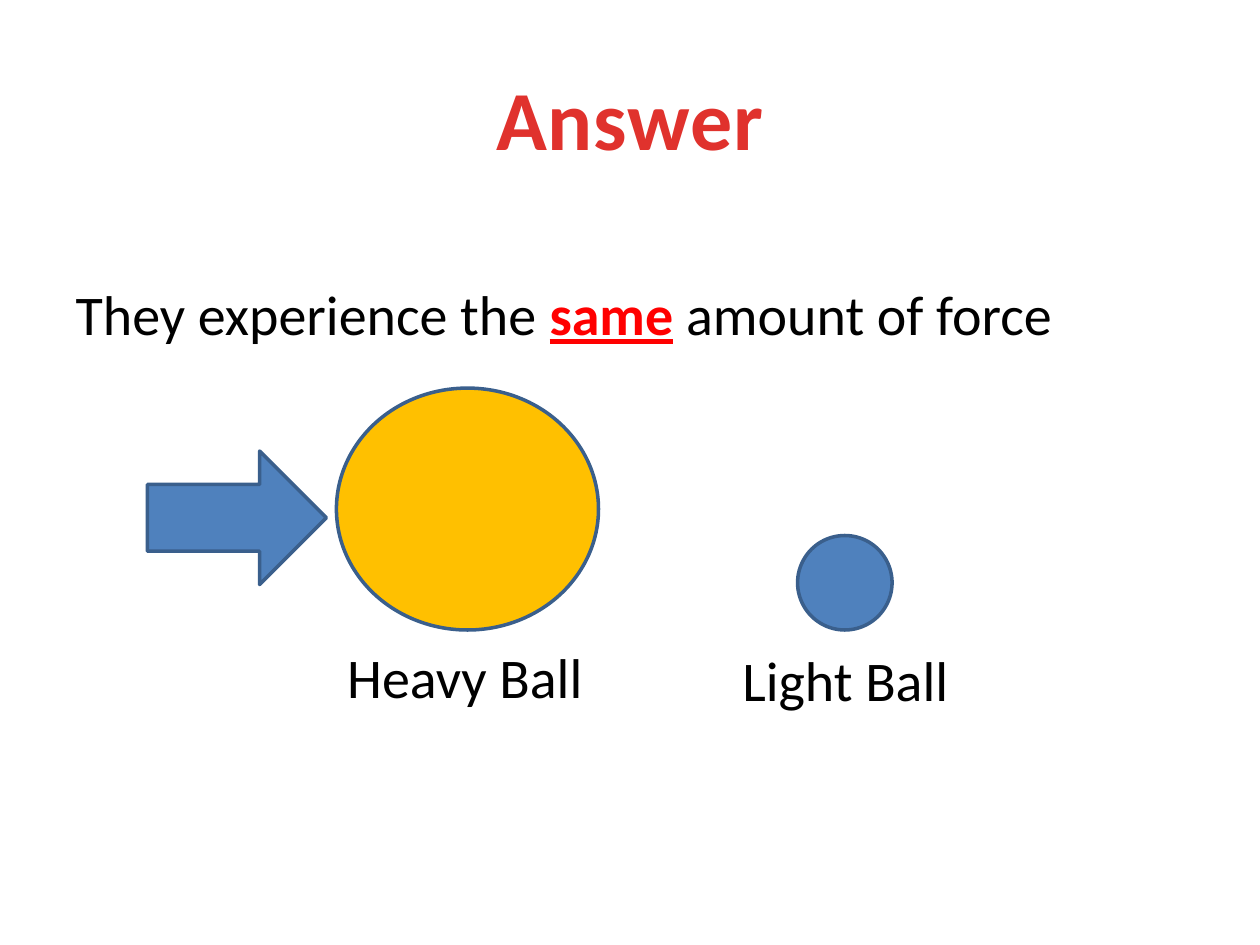
from dataclasses import dataclass

from pptx import Presentation
from pptx.dml.color import RGBColor as Rgb
from pptx.enum.shapes import MSO_SHAPE as Kind
from pptx.enum.text import MSO_ANCHOR as Anchor, MSO_AUTO_SIZE as Fit, PP_ALIGN as Align
from pptx.oxml.xmlchemy import OxmlElement as Node
from pptx.util import Inches, Pt


@dataclass(frozen=True)
class Theme:
    font: str = "Calibri"
    head: Rgb = Rgb(0xE0, 0x32, 0x2D)
    ink: Rgb = Rgb(0, 0, 0)
    alert: Rgb = Rgb(0xFF, 0, 0)
    blue: Rgb = Rgb(0x4F, 0x81, 0xBD)
    gold: Rgb = Rgb(0xFF, 0xC0, 0)
    edge: Rgb = Rgb(0x3A, 0x5F, 0x8C)
    big: float = 48
    text: float = 32
    gap: float = 6.4  # 20% of the text size
    line: float = 2


@dataclass(frozen=True)
class Box:
    left: float
    top: float
    width: float
    height: float

    def size(self) -> tuple:
        return tuple(Inches(v) for v in (self.left, self.top, self.width, self.height))


@dataclass(frozen=True)
class Form:
    kind: Kind
    box: Box
    fill: Rgb


@dataclass(frozen=True)
class Label:
    text: str
    box: Box


THEME = Theme()

FORMS = [
    Form(Kind.OVAL, Box(2.67, 3.08, 2.08, 1.92), THEME.gold),
    Form(Kind.OVAL, Box(6.33, 4.25, 0.75, 0.75), THEME.blue),
    Form(Kind.RIGHT_ARROW, Box(1.17, 3.58, 1.42, 1.06), THEME.blue),
]
LABELS = [
    Label("Heavy Ball", Box(2.4, 5.05, 2.58, 0.68)),
    Label("Light Ball", Box(5.42, 5.07, 2.58, 0.68)),
]


def place(shape, box: Box) -> None:
    shape.left, shape.top, shape.width, shape.height = box.size()
    shape.text_frame.auto_size = Fit.NONE


def style(para, size: float, color: Rgb) -> None:
    para.font.name = THEME.font
    para.font.size = Pt(size)
    para.font.color.rgb = color


def add_title(slide) -> None:
    title = slide.shapes.title
    place(title, Box(0.5, 0.3, 9, 1.25))
    title.text_frame.vertical_anchor = Anchor.MIDDLE
    para = title.text_frame.paragraphs[0]
    para.alignment = Align.CENTER
    style(para, THEME.big, THEME.head)
    para.font.bold = True
    run = para.add_run()
    run.text = "Answer"
    run.font._element.set("spc", "50")  # letter spacing of 0.5 pt


def add_body(slide) -> None:
    body = slide.placeholders[1]
    place(body, Box(0.5, 2.17, 9, 0.83))
    para = body.text_frame.paragraphs[0]
    style(para, THEME.text, THEME.ink)
    para.space_before = Pt(THEME.gap)
    # Plain sentence: no bullet, no indent
    props = para._p.get_or_add_pPr()
    props.set("marL", "0")
    props.set("indent", "0")
    props.insert_element_before(Node("a:buNone"), "a:tabLst", "a:defRPr", "a:extLst")
    for text in ("They experience the ", "same", " amount of force"):
        run = para.add_run()
        run.text = text
        if text == "same":
            run.font.bold = run.font.underline = True
            run.font.color.rgb = THEME.alert


def add_form(slide, form: Form) -> None:
    shape = slide.shapes.add_shape(form.kind, *form.box.size())
    shape.shadow.inherit = False
    shape.fill.solid()
    shape.fill.fore_color.rgb = form.fill
    shape.line.color.rgb = THEME.edge
    shape.line.width = Pt(THEME.line)


def add_label(slide, label: Label) -> None:
    frame = slide.shapes.add_textbox(*label.box.size()).text_frame
    frame.word_wrap = True
    para = frame.paragraphs[0]
    para.text = label.text
    para.alignment = Align.CENTER
    para.space_before = Pt(THEME.gap)
    style(para, THEME.text, THEME.ink)


def main() -> None:
    deck = Presentation()
    deck.slide_width, deck.slide_height = Inches(10), Inches(7.5)
    slide = deck.slides.add_slide(deck.slide_layouts[1])

    # Heading and answer
    add_title(slide)
    add_body(slide)

    # Balls, push arrow and captions
    for form in FORMS:
        add_form(slide, form)
    for label in LABELS:
        add_label(slide, label)

    deck.save("out.pptx")


if __name__ == "__main__":
    main()
